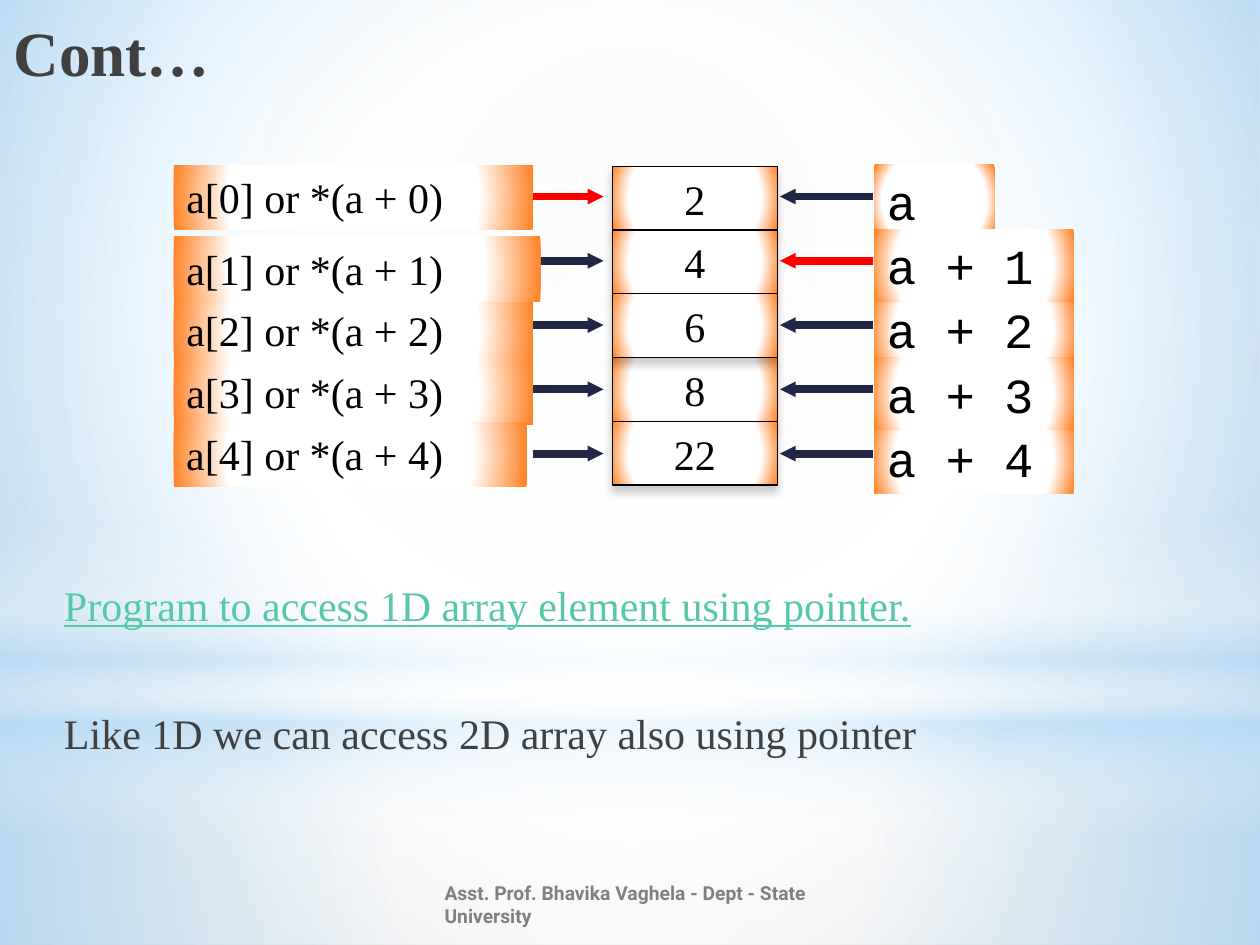
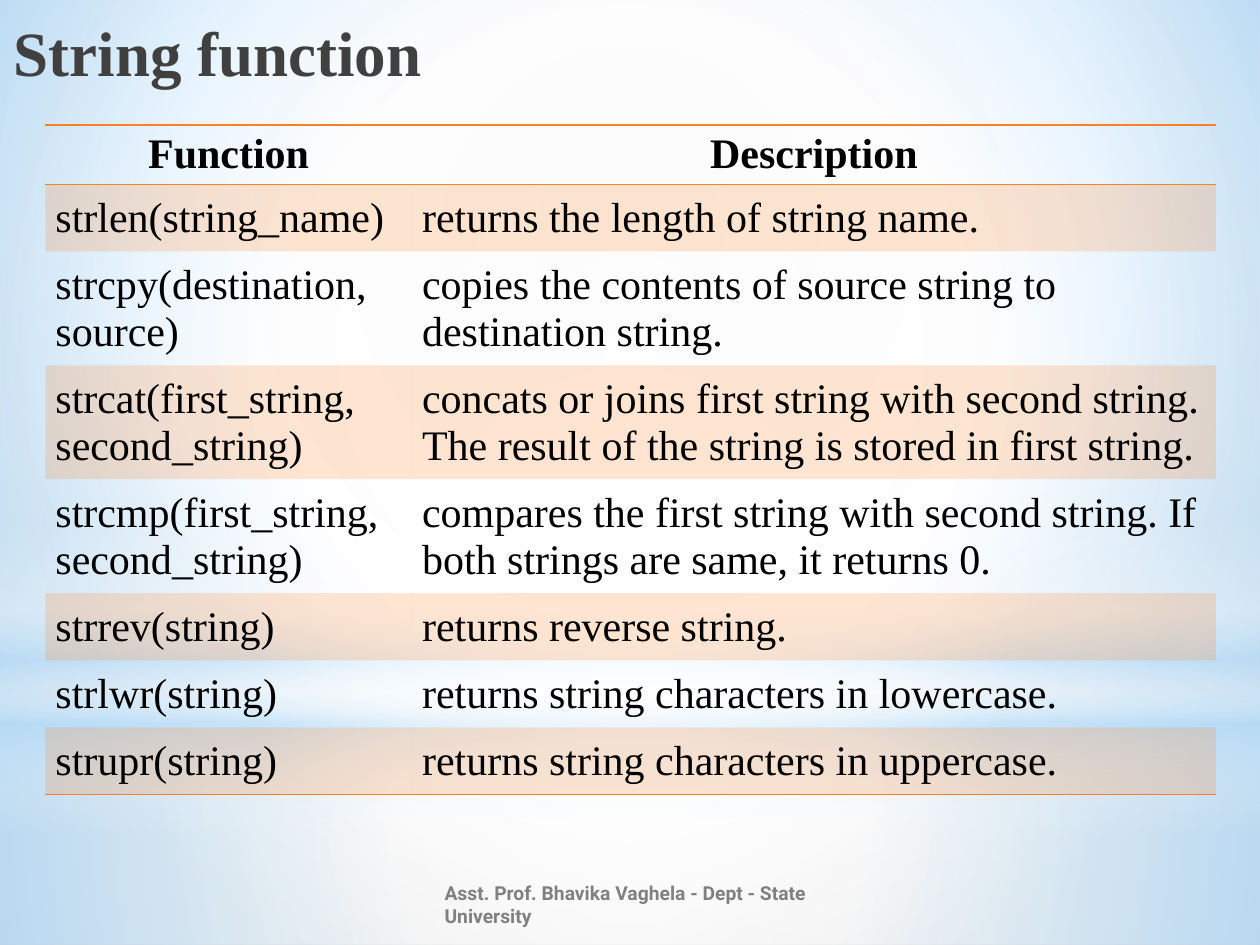
from typing import NamedTuple, Optional

import pptx
import pptx.dml.color
import pptx.enum.shapes
import pptx.enum.text
import pptx.oxml
import pptx.oxml.ns
import pptx.util
from pptx.util import Inches

COLORS = {
    "white": "FFFFFF", "black": "000000", "sky": "B4DCFA", "orange": "FF8021",
    "navy": "212745", "red": "FF0000", "text": "404040", "link": "56C7AA",
    "footer": "808080", "pale": "F4F4F4", "silver": "CCCCCC",
}
SERIF, MONO, SANS = "Times New Roman", "Courier New", "Roboto"
CENTER = (50, 50, 50, 50)
NO_GRID_STYLE = "{2D5ABB26-0587-4C30-8999-92F81FD0307C}"
NS = pptx.oxml.ns.nsdecls("a")
RECT = pptx.enum.shapes.MSO_SHAPE.RECTANGLE
OVAL = pptx.enum.shapes.MSO_SHAPE.OVAL
ALIGN = pptx.enum.text.PP_ALIGN
ANCHOR = pptx.enum.text.MSO_ANCHOR
qn = pptx.oxml.ns.qn


class Stop(NamedTuple):
    pos: int
    color: str
    alpha: int = 100


class Backdrop(NamedTuple):
    shape: int
    top: float
    height: float
    stops: list[Stop]
    focus: Optional[tuple] = CENTER


class Label(NamedTuple):
    index: int
    top: float
    width: float


BACKDROPS = [
    Backdrop(RECT, 5.58, 1.92, [Stop(0, "white", 91), Stop(37, "white", 76), Stop(100, "sky", 79)]),
    Backdrop(RECT, 0, 5.58, [Stop(0, "white", 89), Stop(48, "white", 62), Stop(100, "sky", 79)]),
    Backdrop(RECT, 4.12, 2.5, [Stop(0, "white", 0), Stop(29, "white", 30), Stop(45, "sky", 40),
                               Stop(55, "white", 26), Stop(65, "sky", 60),
                               Stop(100, "white", 0)], None),
    Backdrop(OVAL, 1.75, 5.58, [Stop(0, "white"), Stop(56, "white", 0)]),
]
PAGE_STOPS = [Stop(0, "pale"), Stop(60, "white"), Stop(100, "silver")]
CELL_STOPS = [Stop(0, "white"), Stop(75, "white"), Stop(100, "orange")]
INDEX_STOPS = [Stop(0, "white"), Stop(69, "white"), Stop(100, "orange")]

VALUES = [2, 4, 6, 8, 22]
ROW_PITCH = 0.51
CELL_PITCH = 2.53 / len(VALUES)
# Listed from back to front, because neighbours overlap.
ADDRESS_LABELS = [Label(i, 1.31 + i * ROW_PITCH, 1.58 if i else 0.95) for i in (0, 2, 4, 3, 1)]
INDEX_LABELS = [Label(3, 2.86, 2.85), Label(2, 2.37, 2.85), Label(1, 1.88, 2.91),
                Label(0, 1.31, 2.85), Label(4, 3.35, 2.8)]

STRING_FUNCTIONS = [
    ("Function", "Description"),
    ("strlen(string_name)", "returns the length of string name."),
    ("strcpy(destination, source)", "copies the contents of source string to destination string."),
    ("strcat(first_string, second_string)",
     "concats or joins first string with second string. "
     "The result of the string is stored in first string."),
    ("strcmp(first_string, second_string)",
     "compares the first string with second string. If both strings are same, it returns 0."),
    ("strrev(string)", "returns reverse string."),
    ("strlwr(string)", "returns string characters in lowercase."),
    ("strupr(string)", "returns string characters in uppercase."),
]


def rgb(color: str) -> pptx.dml.color.RGBColor:
    return pptx.dml.color.RGBColor.from_string(COLORS[color])


def put_gradient(parent, stops: list[Stop], focus: Optional[tuple]) -> None:
    """Replace the solid fill of parent by a radial gradient, or a vertical one without focus."""
    gs = "".join(f'<a:gs pos="{st.pos * 1000}"><a:srgbClr val="{COLORS[st.color]}">'
                 f'<a:alpha val="{st.alpha * 1000}"/></a:srgbClr></a:gs>' for st in stops)
    if focus:
        sides = " ".join(f'{side}="{v * 1000}"' for side, v in zip("ltrb", focus))
        direction = f'<a:path path="circle"><a:fillToRect {sides}/></a:path>'
    else:
        direction = '<a:lin ang="5400000" scaled="0"/>'
    grad = pptx.oxml.parse_xml(
        f'<a:gradFill {NS} rotWithShape="1"><a:gsLst>{gs}</a:gsLst>{direction}</a:gradFill>')
    parent.replace(parent.find(qn("a:solidFill")), grad)


def add_gradient_shape(s, shape: int, left: float, top: float, width: float, height: float,
                       stops: list[Stop], focus: Optional[tuple] = CENTER):
    sp = s.shapes.add_shape(shape, Inches(left), Inches(top), Inches(width), Inches(height))
    sp.shadow.inherit = False
    sp.line.fill.background()
    sp.fill.solid()
    put_gradient(sp._element.spPr, stops, focus)
    return sp


def write(tf, text: str, *, size: float = 24, font: str = SERIF, color: str = "black",
          bold: bool = False, underline: bool = False, align=ALIGN.LEFT, anchor=ANCHOR.TOP,
          before: float = 0, line_height: Optional[float] = None, wrap: bool = True,
          new_paragraph: bool = False) -> None:
    tf.word_wrap = wrap
    tf.vertical_anchor = anchor
    p = tf.add_paragraph() if new_paragraph else tf.paragraphs[0]
    p.alignment = align
    p.space_before = pptx.util.Pt(before)
    if line_height:
        p.line_spacing = pptx.util.Pt(line_height)
    r = p.add_run()
    r.text = text
    r.font.size = pptx.util.Pt(size)
    r.font.name = font
    r.font.bold = bold
    r.font.underline = underline
    r.font.color.rgb = rgb(color)


def add_text_box(s, left: float, top: float, width: float, height: float):
    return s.shapes.add_textbox(Inches(left), Inches(top), Inches(width), Inches(height)).text_frame


def dress_layout(prs, layout, s) -> None:
    """Draw the backdrops on s and move them behind everything on the layout."""
    background = prs.slide_master.background
    background.fill.solid()
    put_gradient(prs.slide_master._element.cSld.find(f'.//{qn("p:bgPr")}'), PAGE_STOPS,
                 (20, 10, 20, 60))
    for i, b in enumerate(BACKDROPS):
        sp = add_gradient_shape(s, b.shape, 0, b.top, 10, b.height, b.stops, b.focus)
        sp._element.nvSpPr.cNvPr.set("id", str(100 + i))
        layout.shapes._spTree.insert(2 + i, sp._element)


def add_title_and_footer(s, title: str) -> None:
    write(add_text_box(s, 3.43, 6.98, 3.67, 0.4),
          "Asst. Prof. Bhavika Vaghela - Dept - State University",
          size=11, font=SANS, color="footer", bold=True, anchor=ANCHOR.MIDDLE)
    sp = s.shapes.title
    sp.left, sp.top, sp.width, sp.height = (Inches(v) for v in (0.01, 0.06, 9.88, 0.64))
    sp.text_frame.auto_size = pptx.enum.text.MSO_AUTO_SIZE.NONE
    write(sp.text_frame, title, size=36, color="text", bold=True)


def add_arrow(s, start: float, end: float, y: float, color: str) -> None:
    cx = s.shapes.add_connector(pptx.enum.shapes.MSO_CONNECTOR.STRAIGHT,
                                Inches(start), Inches(y), Inches(end), Inches(y))
    cx.line.width = pptx.util.Pt(4.5)
    cx.line.color.rgb = rgb(color)
    cx.line._get_or_add_ln().append(pptx.oxml.parse_xml(
        f'<a:tailEnd {NS} type="triangle" w="sm" len="sm"/>'))
    cx._element.spPr.append(pptx.oxml.parse_xml(f"<a:effectLst {NS}/>"))


def add_array_cell(s, index: int) -> None:
    sp = add_gradient_shape(s, RECT, 4.86, 1.32 + index * CELL_PITCH, 1.31, CELL_PITCH, CELL_STOPS)
    sp.line.color.rgb = rgb("black")
    sp.line.width = pptx.util.Pt(0.75)
    sp._element.spPr.find(qn("a:effectLst")).append(pptx.oxml.parse_xml(
        f'<a:outerShdw {NS} blurRad="{pptx.util.Pt(5)}" dist="{pptx.util.Pt(4)}" dir="5400000">'
        f'<a:srgbClr val="{COLORS["black"]}"><a:alpha val="20000"/></a:srgbClr></a:outerShdw>'))
    write(sp.text_frame, str(VALUES[index]), align=ALIGN.CENTER, anchor=ANCHOR.MIDDLE, wrap=False)


def build_pointer_slide(s) -> None:
    add_title_and_footer(s, "Cont…")
    tf = add_text_box(s, 0.41, 4.55, 9.23, 1.6)
    write(tf, "Program to access 1D array element using pointer.", color="link", underline=True)
    write(tf, "Like 1D we can access 2D array also using pointer", color="text",
          before=44.5, new_paragraph=True)
    for i in (0, 1, 3, 2, 4):
        add_array_cell(s, i)
    for i in range(len(VALUES)):
        y = 1.56 + i * ROW_PITCH
        add_arrow(s, 6.93, 6.19, y, "red" if i == 1 else "navy")
        add_arrow(s, 4.23, 4.79, y, "red" if i == 0 else "navy")
    for label in ADDRESS_LABELS:
        sp = add_gradient_shape(s, RECT, 6.94, label.top, label.width, 0.57, CELL_STOPS)
        write(sp.text_frame, f"a + {label.index}" if label.index else "a",
              size=28, font=MONO, before=5.6)
    for label in INDEX_LABELS:
        sp = add_gradient_shape(s, RECT, 1.38, label.top, label.width, 0.51, INDEX_STOPS)
        write(sp.text_frame, f"a[{label.index}] or *(a + {label.index})", before=3)


def add_cell_border(cell, side: str) -> None:
    cell._tc.get_or_add_tcPr().append(pptx.oxml.parse_xml(
        f'<a:ln{side} {NS} w="{pptx.util.Pt(1)}"><a:solidFill>'
        f'<a:srgbClr val="{COLORS["orange"]}"/></a:solidFill></a:ln{side}>'))


def fill_cell(cell, banded: bool) -> None:
    if not banded:
        cell.fill.background()
        return
    cell.fill.solid()
    cell.fill.fore_color.rgb = rgb("orange")
    color = cell._tc.tcPr.find(f'{qn("a:solidFill")}/{qn("a:srgbClr")}')
    color.append(pptx.oxml.parse_xml(f'<a:alpha {NS} val="20000"/>'))


def build_string_slide(s) -> None:
    add_title_and_footer(s, "String function")
    last = len(STRING_FUNCTIONS) - 1
    frame = s.shapes.add_table(last + 1, 2, Inches(0.36), Inches(0.99),
                               Inches(9.29), Inches(0.41 * (last + 1)))
    table = frame.table
    table._tbl.tblPr.find(qn("a:tableStyleId")).text = NO_GRID_STYLE
    table.horz_banding = False
    for column, width in zip(table.columns, (2.91, 6.38)):
        column.width = Inches(width)
    for i, row in enumerate(STRING_FUNCTIONS):
        header = i == 0
        for j, text in enumerate(row):
            cell = table.cell(i, j)
            if not header:
                cell.margin_left = cell.margin_right = Inches(0.08)
                cell.margin_top = cell.margin_bottom = Inches(0.08)
            for side in {0: "TB", last: "B"}.get(i, ""):
                add_cell_border(cell, side)
            fill_cell(cell, banded=i % 2 == 1)
            write(cell.text_frame, text, bold=header, line_height=26.8,
                  align=ALIGN.CENTER if header else ALIGN.LEFT)


def main() -> None:
    prs = pptx.Presentation()
    prs.slide_width, prs.slide_height = Inches(10), Inches(7.5)
    layout = prs.slide_layouts.get_by_name("Title Only")
    slides = [prs.slides.add_slide(layout) for _ in range(2)]
    dress_layout(prs, layout, slides[0])
    build_pointer_slide(slides[0])
    build_string_slide(slides[1])
    prs.save("out.pptx")


if __name__ == "__main__":
    main()
